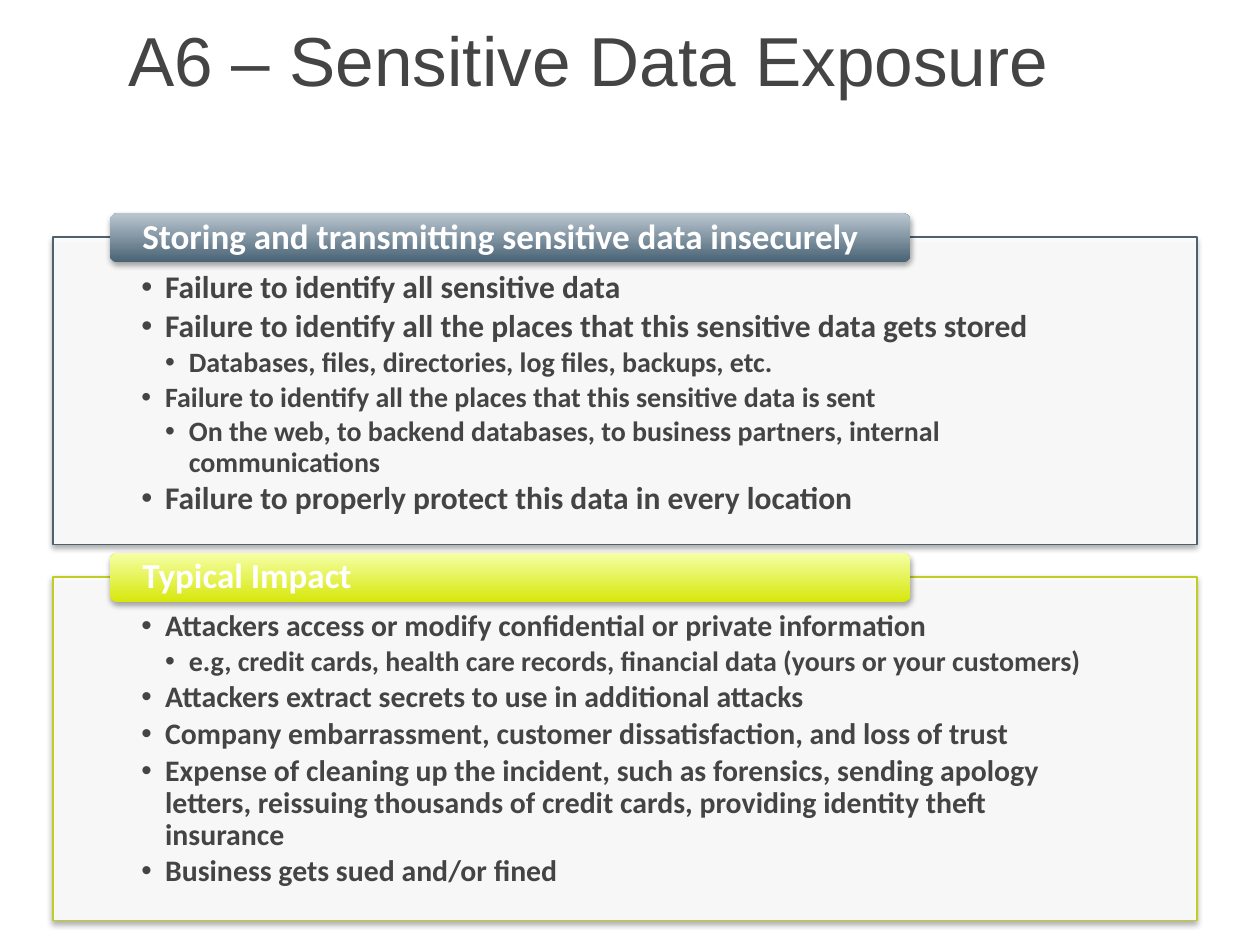
"""Build the slide on sensitive data exposure."""
from dataclasses import dataclass

from lxml import etree
from pptx import Presentation
from pptx.dml.color import RGBColor as Rgb
from pptx.enum.shapes import MSO_SHAPE as Preset
from pptx.enum.text import MSO_ANCHOR as Anchor, PP_ALIGN as Align
from pptx.oxml.ns import qn
from pptx.util import Cm, Pt


@dataclass(frozen=True)
class Theme:
    """Hold the colours, fonts and type sizes of the slide."""
    ink: str = "444444"
    white: str = "FFFFFF"
    black: str = "000000"
    slate: tuple = ("4D616F", "486274", "BAC6D0")
    lime: tuple = ("C1CD23", "D7E70A", "F5FFA6")
    title_font: str = "Arial"
    body_font: str = "Calibri"
    title_size: float = 39.6
    heading_size: int = 20
    large: int = 18
    medium: int = 17
    small: int = 16


THEME = Theme()
PANEL_LEFT, PANEL_WIDTH = 1.07, 23.06
TAB_LEFT, TAB_WIDTH, TAB_HEIGHT, TAB_RISE = 2.21, 16.15, 0.99, 0.48
LABEL_INSET = 0.05
HANG = 0.48

CAUSES = [
    (1, THEME.large, "Failure to identify all sensitive data"),
    (1, THEME.large, "Failure to identify all the places that this sensitive data gets stored"),
    (2, THEME.small, "Databases, files, directories, log files, backups, etc."),
    (1, THEME.small, "Failure to identify all the places that this sensitive data is sent"),
    (2, THEME.small, "On the web, to backend databases, to business partners, internal communications"),
    (1, THEME.large, "Failure to properly protect this data in every location"),
]
IMPACTS = [
    (1, THEME.medium, "Attackers access or modify confidential or private information"),
    (2, THEME.small, "e.g, credit cards, health care records, financial data (yours or your customers)"),
    (1, THEME.medium, "Attackers extract secrets to use in additional attacks"),
    (1, THEME.medium, "Company embarrassment, customer dissatisfaction, and loss of trust"),
    (1, THEME.medium, "Expense of cleaning up the incident, such as forensics, sending apology "
                      "letters, reissuing thousands of credit cards, providing identity theft insurance"),
    (1, THEME.medium, "Business gets sued and/or fined"),
]


def add_shadow(shape):
    """Give a shape a soft shadow straight below it."""
    shape.shadow.inherit = False
    effects = shape._element.spPr.find(qn("a:effectLst"))
    shadow = etree.SubElement(effects, qn("a:outerShdw"), blurRad=str(Pt(3.1)),
                              dist=str(Pt(1.8)), dir="5400000", rotWithShape="0")
    colour = etree.SubElement(shadow, qn("a:srgbClr"), val=THEME.black)
    etree.SubElement(colour, qn("a:alpha"), val="35000")


def add_text_frame(slide, box, insets, anchor=Anchor.TOP):
    """Add a wrapping text box and return its frame."""
    frame = slide.shapes.add_textbox(*map(Cm, box)).text_frame
    frame.word_wrap = True
    frame.vertical_anchor = anchor
    (frame.margin_left, frame.margin_top,
     frame.margin_right, frame.margin_bottom) = map(Cm, insets)
    return frame


def add_run(paragraph, words, size, colour, font=THEME.body_font, bold=True):
    """Add one styled run to a paragraph."""
    run = paragraph.add_run()
    run.text = words
    run.font.name, run.font.size, run.font.bold = font, Pt(size), bold
    run.font.color.rgb = Rgb.from_string(colour)


def add_bullet(paragraph, level):
    """Set the level, hanging indent and bullet of a paragraph."""
    paragraph.level = level
    properties = paragraph._p.get_or_add_pPr()
    properties.set("marL", str(Cm(HANG * level)))
    properties.set("indent", str(-Cm(HANG)))
    etree.SubElement(properties, qn("a:buFont"), typeface=THEME.title_font)
    etree.SubElement(properties, qn("a:buChar"), char="•")


def add_title(slide, words):
    """Add the right-aligned slide title."""
    frame = add_text_frame(slide, (1.7, 0.2, 19.69, 1.98),
                           (0.25, 0.13, 0.25, 0.13), Anchor.MIDDLE)
    title = frame.paragraphs[0]
    title.alignment = Align.RIGHT
    add_run(title, words, THEME.title_size, THEME.ink, THEME.title_font, False)


def add_panel(slide, top, height, outline, points):
    """Add a bordered panel with its bulleted points."""
    box = (PANEL_LEFT, top, PANEL_WIDTH, height)
    panel = slide.shapes.add_shape(Preset.RECTANGLE, *map(Cm, box))
    panel.fill.solid()
    panel.fill.fore_color.rgb = Rgb.from_string(THEME.white)
    fill_colour = panel._element.spPr.find(qn("a:solidFill"))[0]
    etree.SubElement(fill_colour, qn("a:alpha"), val="90000")
    panel.line.color.rgb = Rgb.from_string(outline)
    panel.line.width = Pt(0.75)
    add_shadow(panel)

    frame = add_text_frame(slide, box, (1.78, 0.69, 1.78, 0.3))
    for index, (level, size, words) in enumerate(points):
        point = frame.add_paragraph() if index else frame.paragraphs[0]
        add_bullet(point, level)
        point.line_spacing = 0.9
        point.space_after = Pt(0.15 * size)
        add_run(point, words, size, THEME.ink)


def add_heading_tab(slide, top, shades, words):
    """Add the rounded gradient tab that names a panel."""
    tab = slide.shapes.add_shape(Preset.ROUNDED_RECTANGLE, Cm(TAB_LEFT), Cm(top),
                                 Cm(TAB_WIDTH), Cm(TAB_HEIGHT))
    tab.fill.gradient()
    tab.fill.gradient_angle = 90
    for stop, shade, position in zip(tab.fill.gradient_stops, shades, (0, 1)):
        stop.color.rgb = Rgb.from_string(shade)
        stop.position = position
    tab.line.fill.background()
    add_shadow(tab)

    label_box = (TAB_LEFT + LABEL_INSET, top + LABEL_INSET,
                 TAB_WIDTH - 2 * LABEL_INSET, TAB_HEIGHT - 2 * LABEL_INSET)
    frame = add_text_frame(slide, label_box, (0.61, 0, 0.61, 0), Anchor.MIDDLE)
    heading = frame.paragraphs[0]
    heading.line_spacing = 0.9
    add_run(heading, words, THEME.heading_size, THEME.white)


def add_section(slide, top, height, colours, heading, points):
    """Add a panel and the tab that overlaps its top edge."""
    outline, *shades = colours
    add_panel(slide, top, height, outline, points)
    add_heading_tab(slide, top - TAB_RISE, shades, heading)


def main():
    """Build and save the slide."""
    deck = Presentation()
    deck.slide_width, deck.slide_height = Cm(25.4), Cm(19.05)
    slide = deck.slides.add_slide(deck.slide_layouts[6])
    add_title(slide, "A6 – Sensitive Data Exposure")
    add_section(slide, 4.78, 6.2, THEME.slate,
                "Storing and transmitting sensitive data insecurely", CAUSES)
    add_section(slide, 11.63, 6.93, THEME.lime, "Typical Impact", IMPACTS)
    deck.save("out.pptx")


if __name__ == "__main__":
    main()
